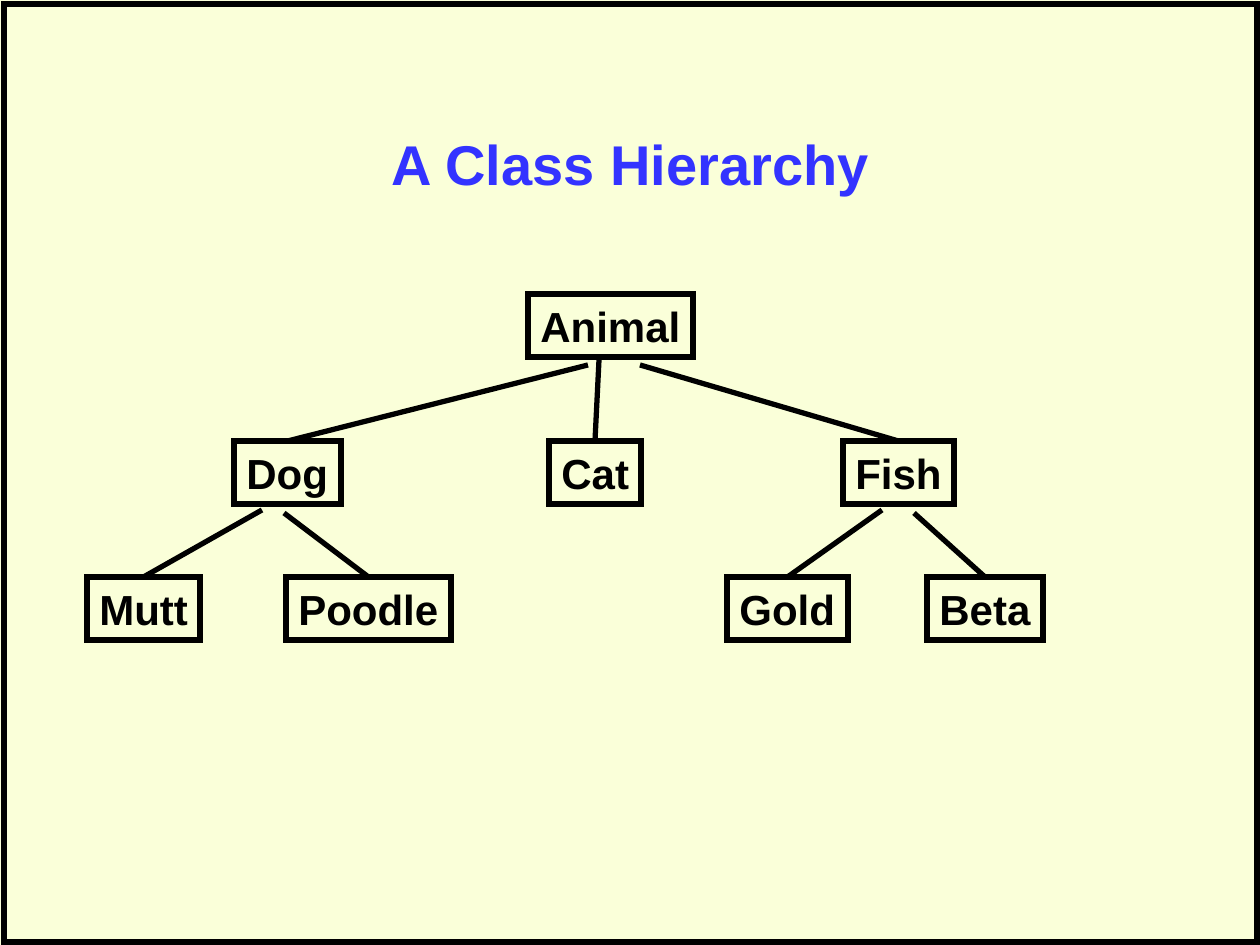
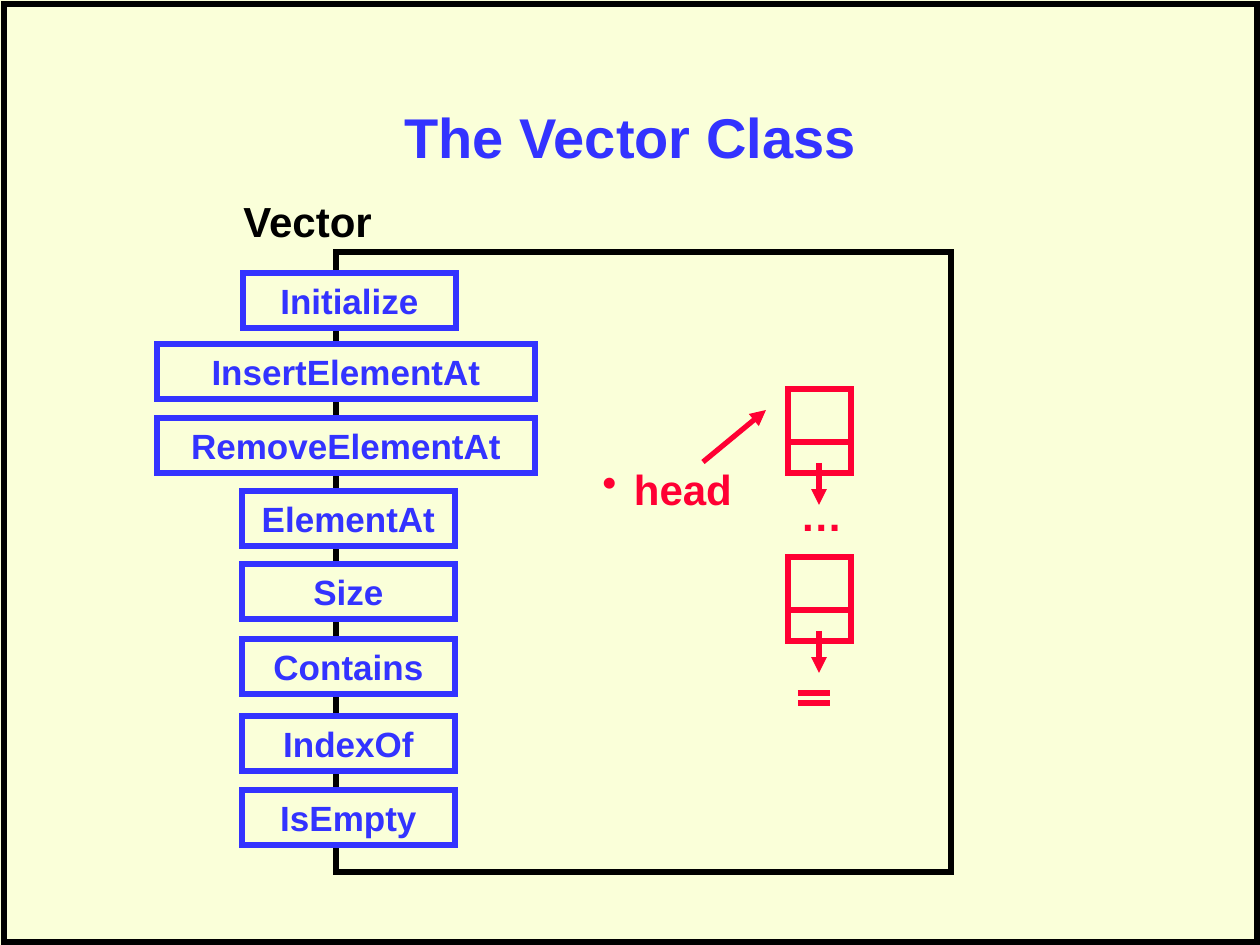
from lxml.etree import SubElement
from pptx import Presentation
from pptx.dml.color import RGBColor
from pptx.enum.shapes import MSO_CONNECTOR as Connector, MSO_SHAPE as Shape
from pptx.enum.text import MSO_ANCHOR as Anchor, PP_ALIGN as Align
from pptx.oxml.ns import qn
from pptx.util import Pt

PX = 914400 / 126
CREAM, BLACK, BLUE, RED = "FAFFD9", "000000", "3333FF", "FF0033"
LABEL = {"name": "Arial", "size": Pt(24), "bold": True}
TITLE = LABEL | {"size": Pt(32)}
METHOD = LABEL | {"size": Pt(20)}
ROW_HEIGHT = 63

CLASSES = {
    "Animal": (528, 294, 165),
    "Dog": (234, 441, 107),
    "Cat": (549, 441, 92),
    "Fish": (843, 441, 111),
    "Mutt": (87, 577, 113),
    "Poodle": (286, 577, 165),
    "Gold": (727, 577, 121),
    "Beta": (927, 577, 116),
}
BRANCHES = [
    ((588, 365), "Dog"),
    ((599, 360), "Cat"),
    ((640, 365), "Fish"),
    ((284, 513), "Poodle"),
    ((262, 510), "Mutt"),
    ((882, 510), "Gold"),
    ((914, 513), "Beta"),
]
METHODS = [
    ("Initialize", 243, 273, 213),
    ("InsertElementAt", 157, 344, 378),
    ("RemoveElementAt", 157, 418, 378),
    ("ElementAt", 242, 491, 213),
    ("Size", 242, 564, 213),
    ("Contains", 242, 639, 213),
    ("IndexOf", 242, 716, 213),
    ("IsEmpty", 242, 790, 213),
]


def emu(*lengths):
    """Turn px lengths into EMU."""
    return [round(length * PX) for length in lengths]


def color(value):
    """Make a colour from a hex string."""
    return RGBColor.from_string(value)


def write(box, text, tint, font, align=Align.LEFT, anchor=Anchor.TOP, wrap=True):
    """Put one formatted line of text into a box."""
    frame = box.text_frame
    frame.word_wrap = wrap
    frame.vertical_anchor = anchor
    para = frame.paragraphs[0]
    para.alignment = align
    span = para.add_run()
    span.text = text
    for name, value in font.items():
        setattr(span.font, name, value)
    span.font.color.rgb = color(tint)
    return para


def add_text(page, area, text, tint, font=LABEL, **layout):
    """Add a text box holding one line."""
    box = page.shapes.add_textbox(*emu(*area))
    return write(box, text, tint, font, **layout)


def add_box(page, area, tint, fill=None, weight=3):
    """Add a sharp-cornered outlined rectangle."""
    box = page.shapes.add_shape(Shape.RECTANGLE, *emu(*area))
    box.shadow.inherit = False
    if fill:
        box.fill.solid()
        box.fill.fore_color.rgb = color(fill)
    else:
        box.fill.background()
    box.line.color.rgb = color(tint)
    box.line.width = Pt(weight)
    SubElement(box.element.spPr.find(qn("a:ln")), qn("a:miter"), lim="800000")
    return box


def add_line(page, start, end, tint, arrow=False):
    """Add a straight line, with an arrowhead at its end if asked."""
    line = page.shapes.add_connector(Connector.STRAIGHT, *emu(*start, *end))
    line.line.color.rgb = color(tint)
    line.line.width = Pt(3)
    properties = line.element.spPr
    if arrow:
        SubElement(properties.find(qn("a:ln")), qn("a:tailEnd"), type="triangle")
    SubElement(properties, qn("a:effectLst"))
    return line


def add_bullet(para, tint):
    """Give a paragraph a coloured bullet and a hanging indent."""
    properties = para._p.get_or_add_pPr()
    properties.set("marL", "228600")
    properties.set("indent", "-228600")
    bullet_color = SubElement(properties, qn("a:buClr"))
    SubElement(bullet_color, qn("a:srgbClr"), val=tint)
    SubElement(properties, qn("a:buChar"), char="•")


def add_page(deck, title, title_height):
    """Add a cream page with a black frame and a centred title."""
    page = deck.slides.add_slide(deck.slide_layouts[6])
    page.background.fill.solid()
    page.background.fill.fore_color.rgb = color(CREAM)
    add_box(page, (4, 4, 1253, 938), BLACK, weight=3.75)
    add_text(page, (95, 84, 1071, title_height), title, BLUE, TITLE,
             align=Align.CENTER, anchor=Anchor.MIDDLE)
    return page


def add_node(page, left, top):
    """Add a list node with its link arrow."""
    width, height, divider, link = 63, 84, 53, 74
    middle = left + width // 2
    add_box(page, (left, top, width, height), RED)
    add_line(page, (left, top + divider), (left + width, top + divider), RED)
    add_line(page, (middle, top + link), (middle, top + link + 42), RED, arrow=True)


def build_hierarchy(deck):
    """Build the class tree page."""
    page = add_page(deck, "A Class Hierarchy", 158)
    boxes = {}
    for name, (left, top, width) in CLASSES.items():
        boxes[name] = add_box(page, (left, top, width, ROW_HEIGHT), BLACK)
        write(boxes[name], name, BLACK, LABEL, wrap=False)
    for start, child in BRANCHES:
        left, top, width = CLASSES[child]
        branch = add_line(page, start, (left + width // 2, top), BLACK)
        branch.end_connect(boxes[child], 0)


def build_vector(deck):
    """Build the page of Vector methods and its linked list."""
    page = add_page(deck, "The Vector Class", 105)
    add_box(page, (336, 252, 615, 620), BLACK, CREAM)
    add_text(page, (231, 189, 183, ROW_HEIGHT), "Vector", BLACK)
    for name, left, top, width in METHODS:
        box = add_box(page, (left, top, width, 55), BLUE, CREAM)
        write(box, name, BLUE, METHOD, align=Align.CENTER)
    head = add_text(page, (590, 457, 281, ROW_HEIGHT), "head", RED)
    add_bullet(head, RED)
    for top in (389, 557):
        add_node(page, 788, top)
    add_text(page, (788, 483, 67, ROW_HEIGHT), "…", RED, wrap=False)
    add_line(page, (703, 462), (766, 410), RED, arrow=True)
    for level in (693, 703):
        add_line(page, (798, level), (830, level), RED)


def main():
    """Build and save the deck."""
    deck = Presentation()
    deck.slide_width, deck.slide_height = emu(1260, 945)
    build_hierarchy(deck)
    build_vector(deck)
    deck.save("out.pptx")


if __name__ == "__main__":
    main()
